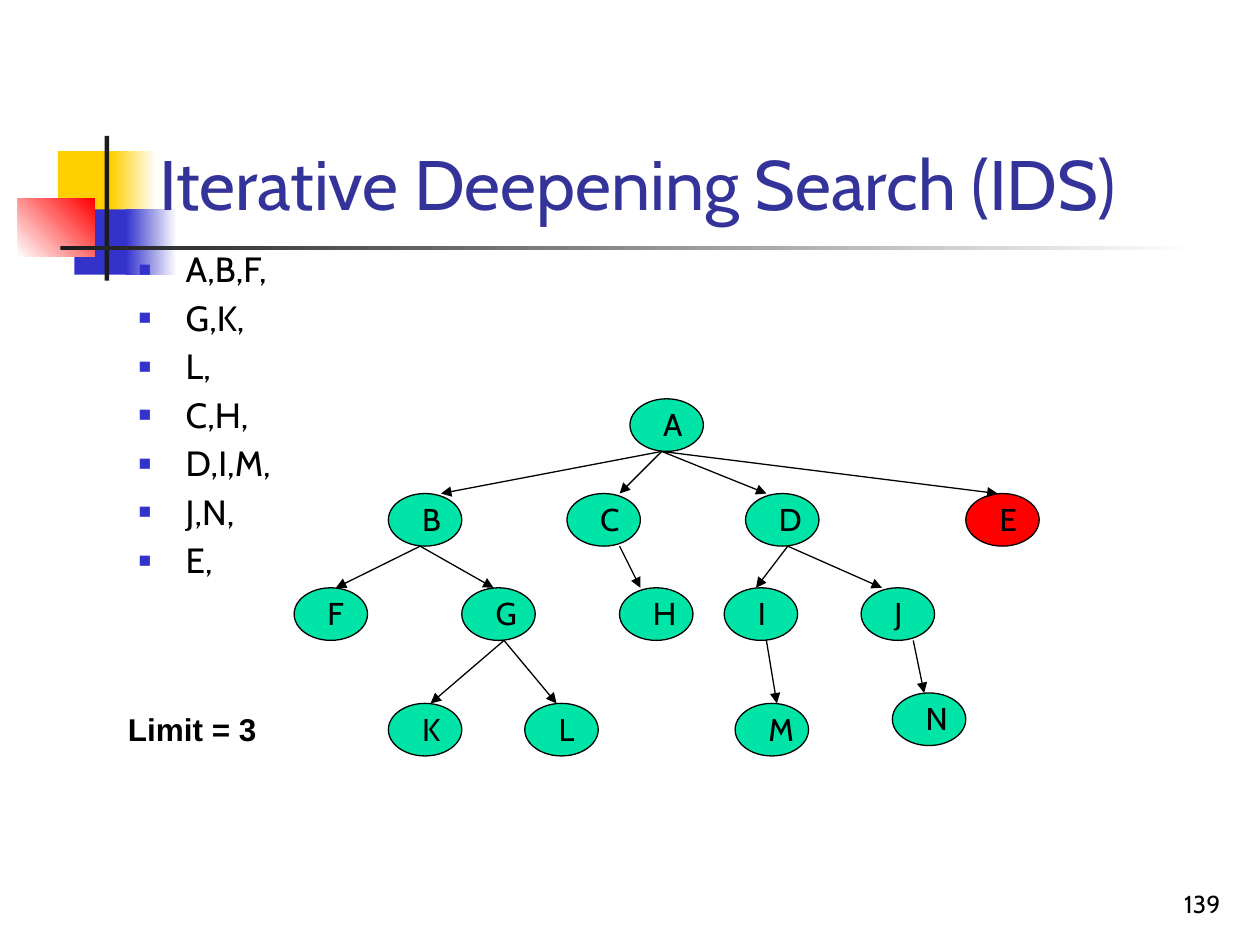
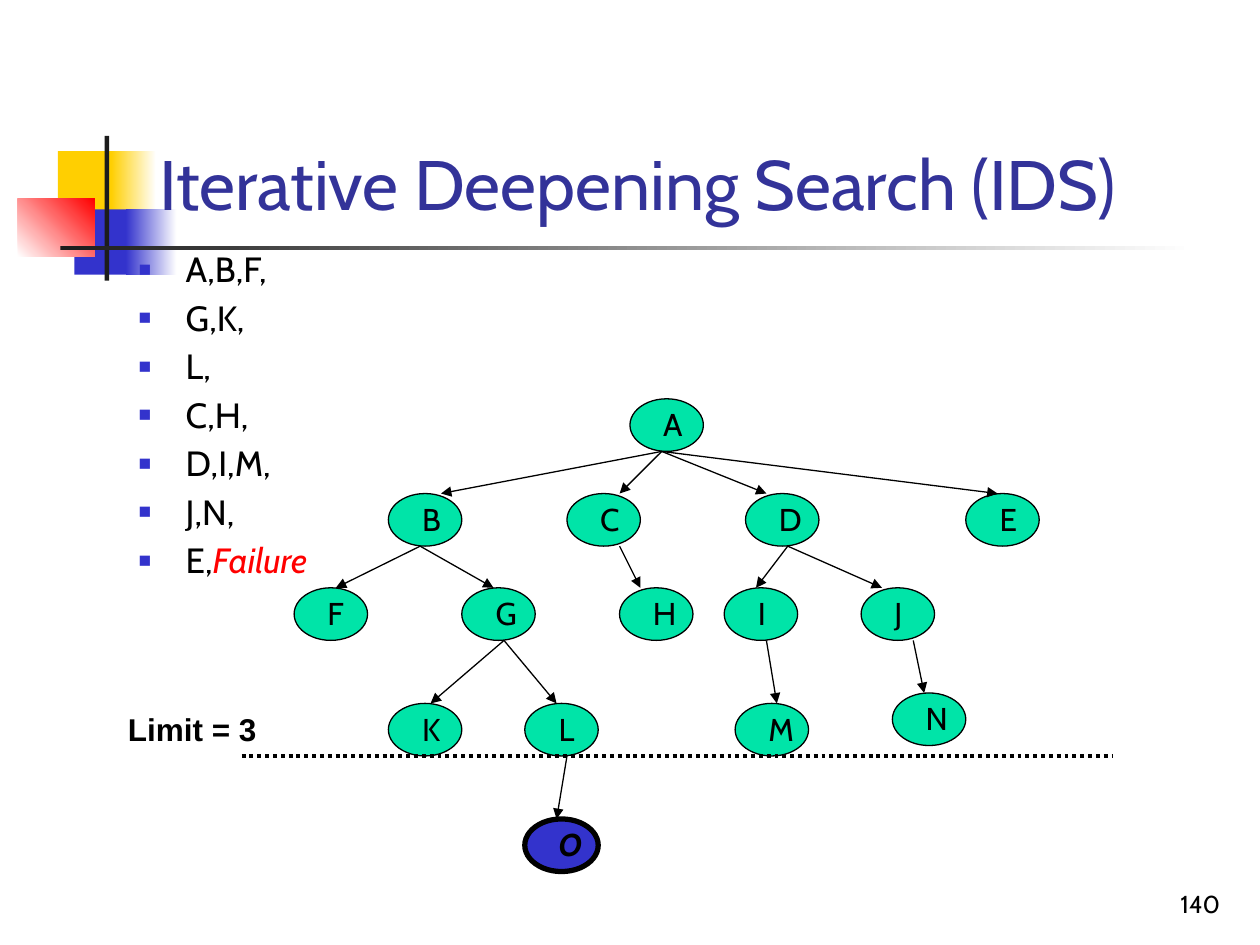
from lxml import etree
from pptx import Presentation
from pptx.dml.color import RGBColor
from pptx.enum.dml import MSO_LINE
from pptx.enum.shapes import MSO_CONNECTOR, MSO_SHAPE
from pptx.enum.text import MSO_ANCHOR, MSO_AUTO_SIZE, PP_ALIGN
from pptx.oxml.ns import qn
from pptx.util import Cm, Pt

RECT, OVAL = MSO_SHAPE.RECTANGLE, MSO_SHAPE.OVAL
LINE, DOTS = MSO_CONNECTOR.STRAIGHT, MSO_LINE.ROUND_DOT
TOP, BASE = MSO_ANCHOR.TOP, MSO_ANCHOR.BOTTOM
LEFT, RIGHT = PP_ALIGN.LEFT, PP_ALIGN.RIGHT
FIXED = MSO_AUTO_SIZE.NONE

# Colours and text styles
tint = RGBColor.from_string
BLACK, WHITE, DARK = "000000", "FFFFFF", "1C1C1C"
GOLD, BLUE, RED, GREEN, NAVY = "FFCF01", "3333CC", "FF0000", "00E4A8", "333399"
HEAD = {"name": "Cabin", "size": Pt(40), "bold": False}
ITEM = {"name": "Cabin", "size": Pt(20)}
FAIL = {**ITEM, "italic": True}
NODE = {"name": "Cabin", "size": Pt(18)}
GOAL = {**NODE, "bold": True, "italic": True}
NOTE = {"name": "Arial", "size": Pt(18), "bold": True}
PAGE = {"name": "Cabin", "size": Pt(14)}

# Corner bands in cm: left, top, width, height, from, to, angle
BANDS = [
    (1.17, 3.05, 1.22, 1.32, GOLD, None, 0),
    (2.24, 3.05, 0.91, 1.32, GOLD, WHITE, 0),
    (1.5, 4.22, 1.17, 1.32, BLUE, None, 0),
    (2.54, 4.22, 1.02, 1.32, BLUE, WHITE, 0),
    (0.36, 4.01, 1.55, 1.17, WHITE, RED, 45),
    (2.11, 2.74, 0.09, 2.92, DARK, None, 0),
    (1.22, 4.95, 22.86, 0.09, DARK, WHITE, 0),
]

# Tree on a grid of twelfths of an inch: left, top, offset of outgoing arrows
WIDE, HIGH = 7, 5
TREE = {
    "A": (60, 38, 3), "B": (37, 47, 3), "C": (54, 47, 5), "E": (92, 47, 0),
    "D": (71, 47, 4), "F": (28, 56, 0), "G": (44, 56, 4), "H": (59, 56, 0),
    "I": (69, 56, 4), "J": (82, 56, 5), "K": (37, 67, 0), "L": (50, 67, 4),
    "M": (70, 67, 0), "N": (85, 66, 0), "O": (50, 78, 0),
}
# Parent, child, offset of the arrowhead from the child's left
EDGES = [
    ("A", "B", 5), ("A", "C", 5), ("A", "D", 2), ("A", "E", 3),
    ("B", "F", 4), ("B", "G", 3), ("C", "H", 2), ("D", "I", 3),
    ("D", "J", 2), ("G", "K", 4), ("G", "L", 3), ("I", "M", 4),
    ("J", "N", 3), ("L", "O", 3),
]
STEPS = ["A,B,F,", "G,K,", "L,", "C,H,", "D,I,M,", "J,N,", "E,"]

# What differs from slide to slide
VIEWS = [
    {"page": "139", "last": "", "skip": "O", "fills": {"E": RED}},
    {"page": "140", "last": "Failure", "skip": "", "fills": {"O": BLUE}},
]


def grid(*nums):
    return [Cm(round(n * 2.54 / 12, 2)) for n in nums]


def write(para, text, look, hue=BLACK):
    run = para.add_run()
    run.text = text
    for key, val in look.items():
        setattr(run.font, key, val)
    run.font.color.rgb = tint(hue)


deck = Presentation()
deck.slide_width, deck.slide_height = Cm(25.4), Cm(19.05)

for view in VIEWS:
    slide = deck.slides.add_slide(deck.slide_layouts[1])
    shapes = slide.shapes
    title, body = slide.placeholders

    # Corner bands
    for x, y, w, h, start, end, angle in BANDS:
        band = shapes.add_shape(RECT, Cm(x), Cm(y), Cm(w), Cm(h))
        band.shadow.inherit = False
        band.line.fill.background()
        if end:
            band.fill.gradient()
            band.fill.gradient_angle = angle
            for stop, hue in zip(band.fill.gradient_stops, (start, end)):
                stop.color.rgb = tint(hue)
        else:
            band.fill.solid()
            band.fill.fore_color.rgb = tint(start)

    # Title and list, in front of the bands
    for holder, spot, anchor in [(title, (14, 7, 102, 15), BASE),
                                 (body, (12, 23, 102, 11), TOP)]:
        shapes.element.append(holder.element)
        holder.left, holder.top, holder.width, holder.height = grid(*spot)
        holder.text_frame.auto_size = FIXED
        holder.text_frame.vertical_anchor = anchor
    para = title.text_frame.paragraphs[0]
    para.alignment = LEFT
    write(para, "Iterative Deepening Search (IDS)", HEAD, NAVY)

    frame = body.text_frame
    for i, step in enumerate(STEPS):
        para = frame.add_paragraph() if i else frame.paragraphs[0]
        para.space_before = Pt(3.7 if i else 0)
        props = para._p.get_or_add_pPr()
        props.set("marL", str(Cm(0.95)))
        props.set("indent", str(-Cm(0.95)))
        color = etree.SubElement(props, qn("a:buClr"))
        etree.SubElement(color, qn("a:srgbClr"), val=BLUE)
        etree.SubElement(props, qn("a:buSzPct"), val="60000")
        etree.SubElement(props, qn("a:buFont"), typeface="Arial")
        etree.SubElement(props, qn("a:buChar"), char="■")
        write(para, step, ITEM)
    if view["last"]:
        write(para, view["last"], FAIL, RED)

    # Tree nodes
    notes = [
        ((92.4, 82, 25, 6), view["page"], PAGE, BASE, RIGHT),
        ((11, 67, 16, 4.8), "Limit = 3", NOTE, TOP, LEFT),
    ]
    for name, (x, y, _) in TREE.items():
        if name in view["skip"]:
            continue
        node = shapes.add_shape(OVAL, *grid(x, y, WIDE, HIGH))
        node.shadow.inherit = False
        node.fill.solid()
        node.fill.fore_color.rgb = tint(view["fills"].get(name, GREEN))
        node.line.color.rgb = tint(BLACK)
        node.line.width = Pt(3 if name == "O" else 0.75)
        look = GOAL if name == "O" else NODE
        notes.append(((x + 2, y, 5, 4.8), name, look, TOP, LEFT))

    # Node letters, limit and page number
    for spot, text, look, anchor, align in notes:
        frame = shapes.add_textbox(*grid(*spot)).text_frame
        frame.word_wrap = True
        frame.vertical_anchor = anchor
        frame.paragraphs[0].alignment = align
        write(frame.paragraphs[0], text, look)

    # Arrows, and the depth limit once the goal shows
    lines = []
    for top, low, shift in EDGES:
        if low not in view["skip"]:
            x, y, out = TREE[top]
            ends = (x + out, y + HIGH, TREE[low][0] + shift, TREE[low][1])
            lines.append((ends, True))
    if not view["skip"]:
        lines.append(((23, 72, 106, 72), False))
    for ends, arrow in lines:
        link = shapes.add_connector(LINE, *grid(*ends))
        etree.SubElement(link.element.spPr, qn("a:effectLst"))
        link.line.color.rgb = tint(BLACK)
        link.line.width = Pt(0.75 if arrow else 2.25)
        if arrow:
            etree.SubElement(link.line._get_or_add_ln(), qn("a:tailEnd"), type="triangle")
        else:
            link.line.dash_style = DOTS

deck.save("out.pptx")
